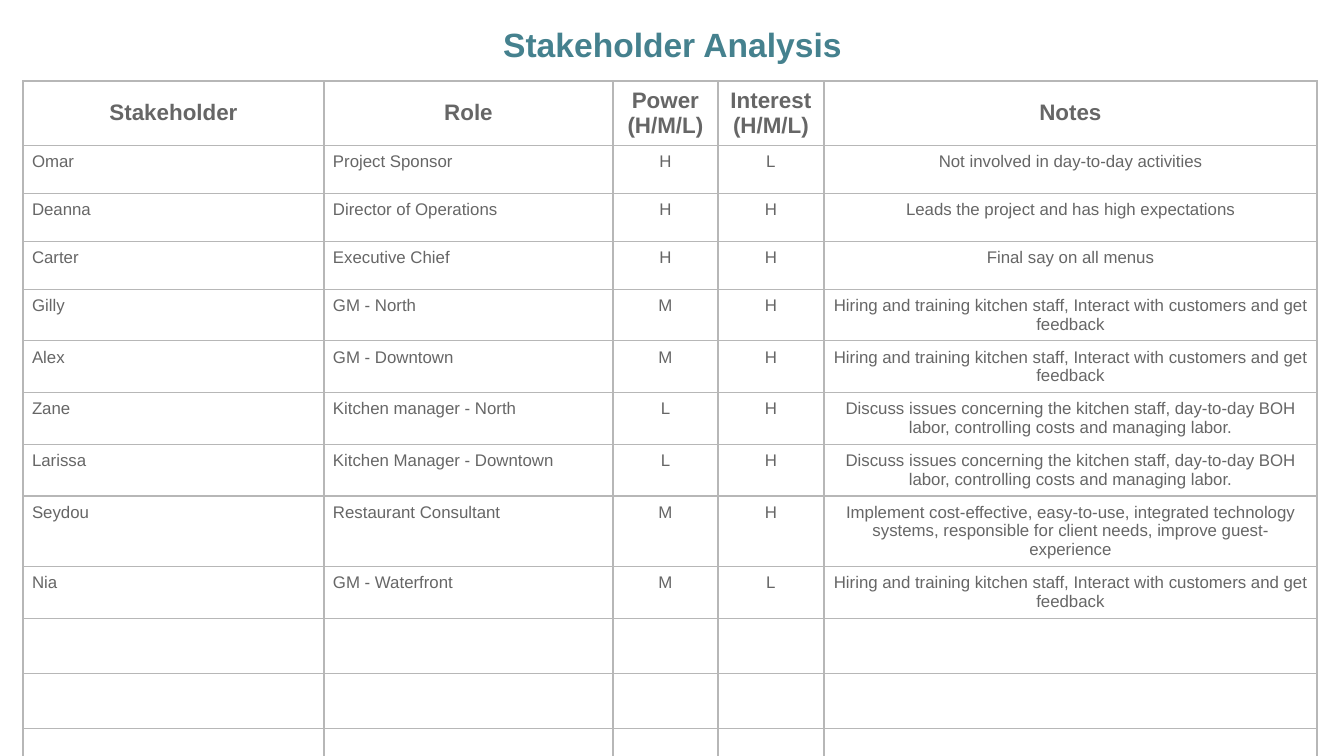
from dataclasses import dataclass

from pptx import Presentation
from pptx import util as u
from pptx.dml import color
from pptx.enum import text
from pptx.oxml import parse_xml
from pptx.oxml import ns

EMU_PER_PX = 914400 / 134.4


def px(length):
    return u.Emu(round(length * EMU_PER_PX))


@dataclass(frozen=True)
class Theme:
    font: str = "Arial"
    title_color: str = "45818E"
    body_color: str = "666666"
    border_color: str = "B7B7B7"
    border_width: float = 0.75
    title_size: int = 18
    header_size: int = 12
    body_size: int = 9


# Content
HEADERS = ["Stakeholder", "Role", "Power (H/M/L)", "Interest (H/M/L)", "Notes"]
STAFF_NOTE = ("Hiring and training kitchen staff, Interact with customers "
              "and get feedback")
LABOR_NOTE = ("Discuss issues concerning the kitchen staff, day-to-day BOH labor, "
              "controlling costs and managing labor.")
SYSTEMS_NOTE = ("Implement cost-effective, easy-to-use, integrated technology systems, "
                "responsible for client needs, improve guest-experience")
STAKEHOLDERS = [
    ["Omar", "Project Sponsor", "H", "L", "Not involved in day-to-day activities"],
    ["Deanna", "Director of Operations", "H", "H",
     "Leads the project and has high expectations"],
    ["Carter", "Executive Chief", "H", "H", "Final say on all menus"],
    ["Gilly", "GM - North", "M", "H", STAFF_NOTE],
    ["Alex", "GM - Downtown", "M", "H", STAFF_NOTE],
    ["Zane", "Kitchen manager - North", "L", "H", LABOR_NOTE],
    ["Larissa", "Kitchen Manager - Downtown", "L", "H", LABOR_NOTE],
    ["Seydou", "Restaurant Consultant", "M", "H", SYSTEMS_NOTE],
    ["Nia", "GM - Waterfront", "M", "L", STAFF_NOTE],
]
SPARE_ROWS = 3
COLUMN_WIDTHS = [301, 289, 105, 106, 493]
HEADER_HEIGHT, ROW_HEIGHT = 38, 48
LEFT_ALIGNED_COLUMNS = 2


class SlideBuilder:
    def __init__(self, slide, theme):
        self.slide = slide
        self.theme = theme

    def style_text(self, frame, size, ink, bold, align):
        for paragraph in frame.paragraphs:
            paragraph.alignment = align
            for run in paragraph.runs:
                run.font.name = self.theme.font
                run.font.size = u.Pt(size)
                run.font.bold = bold
                run.font.color.rgb = color.RGBColor.from_string(ink)

    def title(self, wording, left, top, width, height):
        frame = self.slide.shapes.add_textbox(
            px(left), px(top), px(width), px(height)).text_frame
        frame.word_wrap = True
        frame.margin_left = frame.margin_right = px(13)
        frame.margin_top = frame.margin_bottom = px(13)
        frame.text = wording
        frame.paragraphs[0].line_spacing = 1.15
        self.style_text(frame, self.theme.title_size, self.theme.title_color,
                        True, text.PP_ALIGN.CENTER)

    def borders(self, cell):
        properties = cell._tc.get_or_add_tcPr()
        for side in ("lnL", "lnR", "lnT", "lnB"):
            properties.append(parse_xml(
                f'<a:{side} {ns.nsdecls("a")} w="{u.Pt(self.theme.border_width)}">'
                f'<a:solidFill><a:srgbClr val="{self.theme.border_color}"/></a:solidFill>'
                f'</a:{side}>'))

    def cell(self, cell, wording, is_header, align):
        self.borders(cell)
        cell.fill.background()
        cell.margin_left = cell.margin_right = px(9)
        cell.margin_top = cell.margin_bottom = px(7)
        if not wording:
            return
        cell.vertical_anchor = (text.MSO_ANCHOR.MIDDLE if is_header
                                else text.MSO_ANCHOR.TOP)
        cell.text_frame.text = wording
        size = self.theme.header_size if is_header else self.theme.body_size
        self.style_text(cell.text_frame, size, self.theme.body_color,
                        is_header, align)

    def table(self, rows, left, top, widths, heights):
        table = self.slide.shapes.add_table(
            len(rows), len(widths), px(left), px(top),
            px(sum(widths)), px(sum(heights))).table
        table.first_row = table.horz_banding = False
        for column, width in zip(table.columns, widths):
            column.width = px(width)
        for r, (row, height) in enumerate(zip(rows, heights)):
            table.rows[r].height = px(height)
            for c, wording in enumerate(row):
                is_header = r == 0
                left_aligned = c < LEFT_ALIGNED_COLUMNS and not is_header
                align = (text.PP_ALIGN.LEFT if left_aligned
                         else text.PP_ALIGN.CENTER)
                self.cell(table.cell(r, c), wording, is_header, align)


def main():
    deck = Presentation()
    deck.slide_width, deck.slide_height = px(1344), px(756)
    builder = SlideBuilder(deck.slides.add_slide(deck.slide_layouts[6]), Theme())

    # Stakeholder table, with spare rows at the end
    spare = [[""] * len(HEADERS)] * SPARE_ROWS
    rows = [HEADERS] + STAKEHOLDERS + spare
    heights = [HEADER_HEIGHT] + [ROW_HEIGHT] * (len(rows) - 1)
    builder.table(rows, 23, 81, COLUMN_WIDTHS, heights)

    # Title
    builder.title("Stakeholder Analysis", 112, 5, 1121, 67)

    deck.save("out.pptx")


if __name__ == "__main__":
    main()
